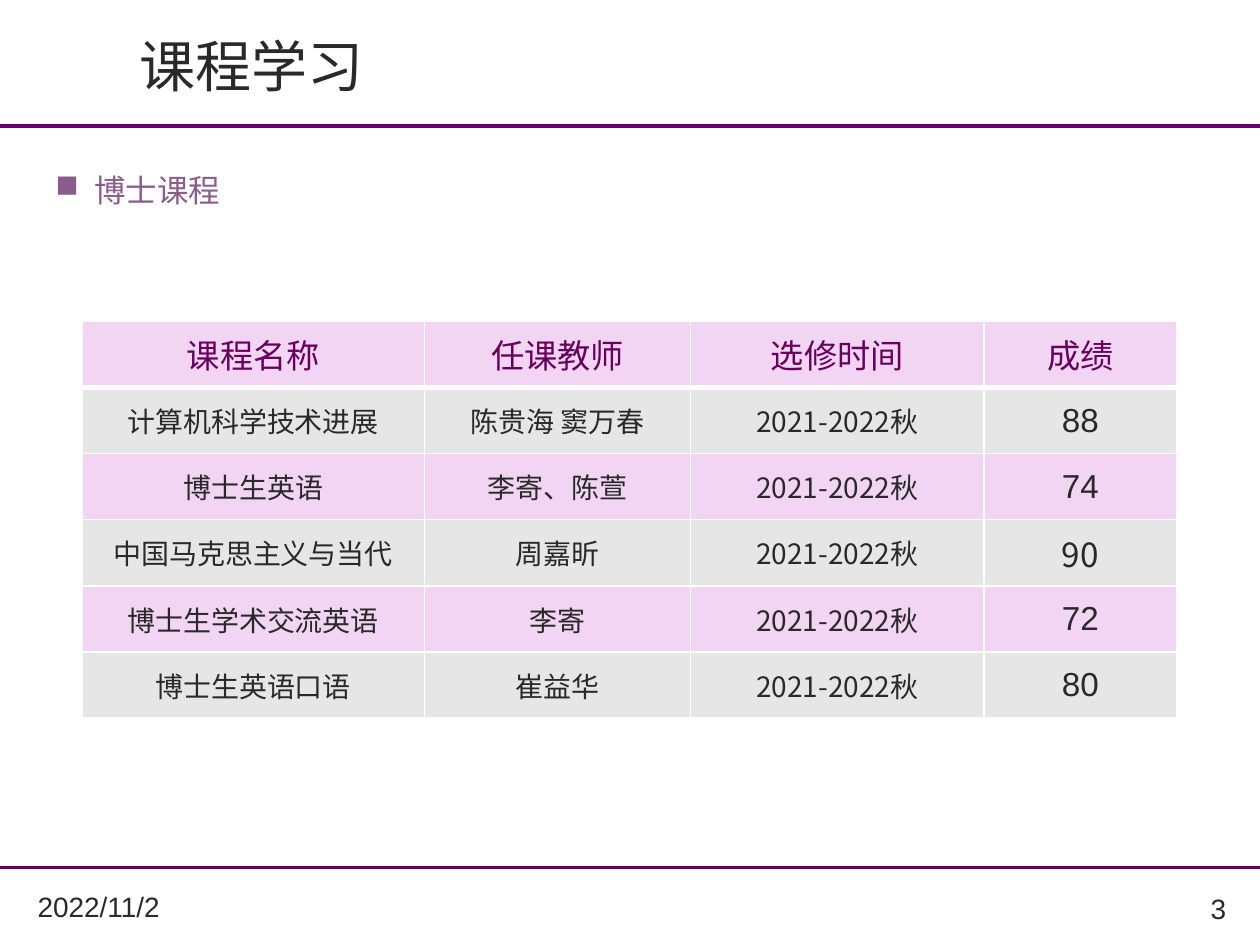
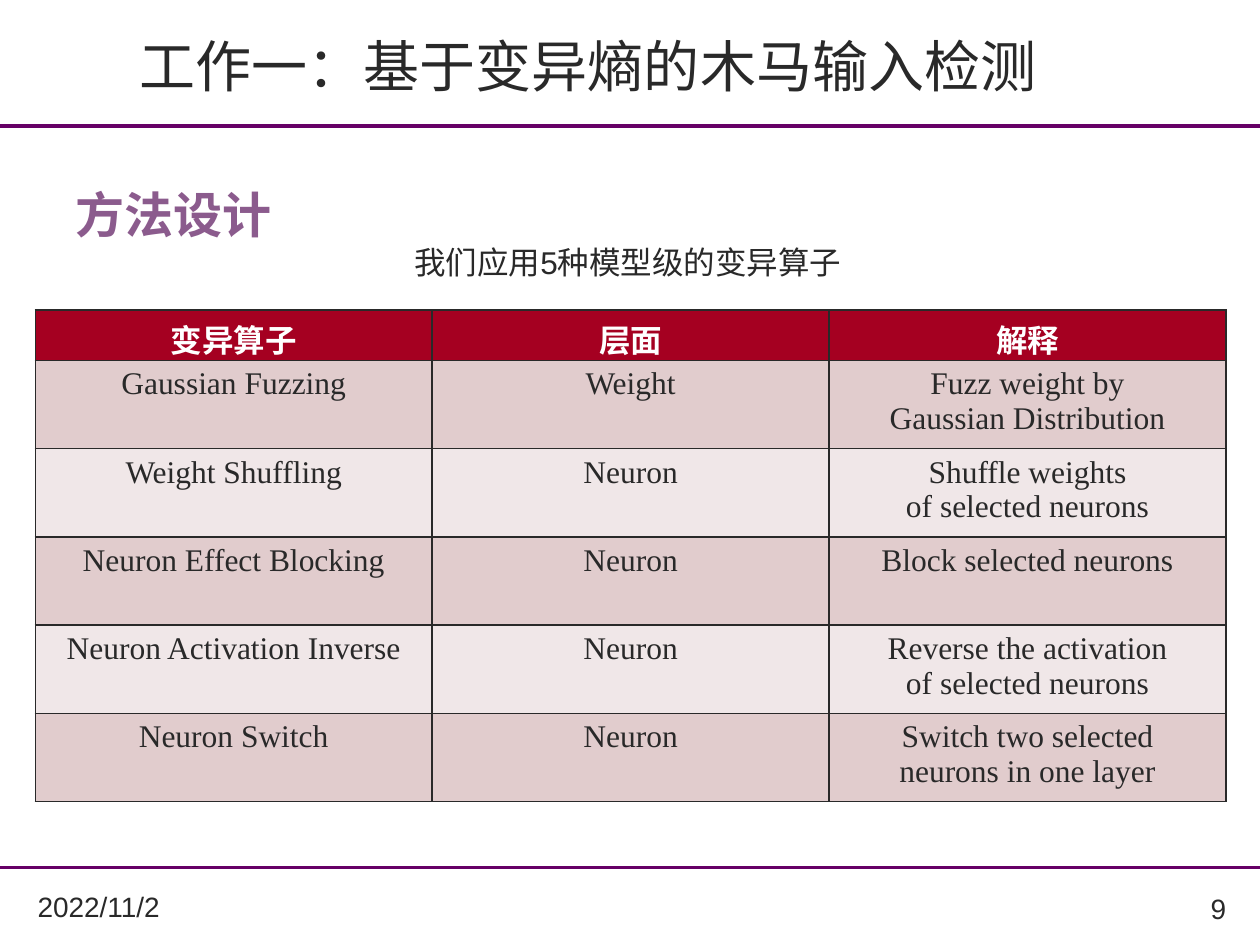
from dataclasses import dataclass

from lxml import etree
from pptx import Presentation
from pptx.dml.color import RGBColor
from pptx.enum.shapes import MSO_SHAPE
from pptx.enum.text import MSO_ANCHOR, PP_ALIGN
from pptx.oxml.ns import qn
from pptx.util import Inches, Pt

LEFT, CENTER, RIGHT = PP_ALIGN.LEFT, PP_ALIGN.CENTER, PP_ALIGN.RIGHT
TOP, MIDDLE = MSO_ANCHOR.TOP, MSO_ANCHOR.MIDDLE
MATH_MINUS = MSO_SHAPE.MATH_MINUS

COLORS = {
    "ink": "292929",
    "rule": "660066",
    "heading": "8B5B8D",
    "course_header": "69005D",
    "pink": "F1D5F3",
    "gray": "E6E6E6",
    "white": "FFFFFF",
    "crimson": "A50021",
    "rose": "E1CCCD",
    "pale_rose": "F0E7E8",
}
ARIAL, CJK, TIMES = "Arial", "Noto Sans CJK SC", "Times New Roman"


@dataclass(frozen=True)
class TextStyle:
    size: float
    font: str = ARIAL
    color: str = "ink"
    bold: bool = False
    align: PP_ALIGN = LEFT


@dataclass(frozen=True)
class Box:
    left: float
    top: float
    width: float
    height: float

    def inches(self) -> tuple:
        return tuple(Inches(v) for v in (self.left, self.top, self.width, self.height))


@dataclass(frozen=True)
class Cell:
    text: str
    style: TextStyle
    fill: str


@dataclass(frozen=True)
class Grid:
    left: float
    top: float
    columns: list
    rows: list
    line: str
    header_line: float = 1
    anchor: MSO_ANCHOR = TOP
    header_margin_bottom: float = 0.05


@dataclass(frozen=True)
class Course:
    name: str
    teacher: str
    score: str
    score_font: str = ARIAL
    term: str = "2021-2022秋"


@dataclass(frozen=True)
class Operator:
    name: str
    level: str
    meaning: str


# Shared styles and places
TITLE = TextStyle(32, CJK)
FOOTER = TextStyle(16)
PAGE_NUMBER = TextStyle(16, align=RIGHT)
RULES = [Box(-1.82, 6.83, 13.64, 0.11), Box(-1.82, 0.94, 13.64, 0.12)]

COURSES = [
    Course("计算机科学技术进展", "陈贵海 窦万春", "88"),
    Course("博士生英语", "李寄、陈萱", "74"),
    Course("中国马克思主义与当代", "周嘉昕", "90", CJK),
    Course("博士生学术交流英语", "李寄", "72"),
    Course("博士生英语口语", "崔益华", "80"),
]
OPERATORS = [
    Operator("Gaussian Fuzzing", "Weight", "Fuzz weight by\nGaussian Distribution"),
    Operator("Weight Shuffling", "Neuron", "Shuffle weights\nof selected neurons"),
    Operator("Neuron Effect Blocking", "Neuron", "Block selected neurons"),
    Operator("Neuron Activation Inverse", "Neuron",
             "Reverse the activation\nof selected neurons"),
    Operator("Neuron Switch", "Neuron", "Switch two selected\nneurons in one layer"),
]


def rgb(name: str) -> RGBColor:
    return RGBColor.from_string(COLORS[name])


def write(frame, text: str, style: TextStyle) -> None:
    """Fill a text frame, one paragraph per line."""
    frame.text = text
    for paragraph in frame.paragraphs:
        paragraph.alignment = style.align
        font = paragraph.font
        font.size, font.bold, font.name = Pt(style.size), style.bold, style.font
        font.color.rgb = rgb(style.color)
        defaults = paragraph._p.pPr.find(qn("a:defRPr"))
        etree.SubElement(defaults, qn("a:ea")).set("typeface", CJK)


def add_text(slide, box: Box, text: str, style: TextStyle, margin_left: float = 0.1):
    frame = slide.shapes.add_textbox(*box.inches()).text_frame
    frame.word_wrap = True
    frame.vertical_anchor = MIDDLE
    frame.margin_left = Inches(margin_left)
    write(frame, text, style)
    return frame.paragraphs[0]


def add_square_bullet(paragraph, indent: float) -> None:
    properties = paragraph._p.get_or_add_pPr()
    properties.set("marL", str(Inches(indent)))
    properties.set("indent", str(-Inches(indent)))
    bullet = etree.Element(qn("a:buChar"))
    bullet.set("char", "■")
    properties.find(qn("a:defRPr")).addprevious(bullet)


def set_borders(cell, color: str, top: float, bottom: float) -> None:
    properties = cell._tc.get_or_add_tcPr()
    sides = [("a:lnL", 1), ("a:lnR", 1), ("a:lnT", top), ("a:lnB", bottom)]
    for position, (side, width) in enumerate(sides):
        line = etree.Element(qn(side))
        line.set("w", str(Pt(width)))
        fill = etree.SubElement(line, qn("a:solidFill"))
        etree.SubElement(fill, qn("a:srgbClr")).set("val", COLORS[color])
        properties.insert(position, line)


def add_grid(slide, grid: Grid, content: list) -> None:
    box = Box(grid.left, grid.top, sum(grid.columns), sum(grid.rows))
    table = slide.shapes.add_table(
        len(grid.rows), len(grid.columns), *box.inches()).table
    table.first_row = table.horz_banding = False
    for column, width in zip(table.columns, grid.columns):
        column.width = Inches(width)
    for r, (row, height) in enumerate(zip(content, grid.rows)):
        table.rows[r].height = Inches(height)
        for c, part in enumerate(row):
            cell = table.cell(r, c)
            cell.vertical_anchor = grid.anchor
            if r == 0:
                cell.margin_bottom = Inches(grid.header_margin_bottom)
            cell.fill.solid()
            cell.fill.fore_color.rgb = rgb(part.fill)
            write(cell.text_frame, part.text, part.style)
            set_borders(cell, grid.line,
                        top=grid.header_line if r == 1 else 1,
                        bottom=grid.header_line if r == 0 else 1)


def start_slide(deck, title: str, page: int):
    """Add a slide with rules, footer and title."""
    slide = deck.slides.add_slide(deck.slide_layouts[6])
    for box in RULES:
        rule = slide.shapes.add_shape(MATH_MINUS, *box.inches())
        rule.shadow.inherit = False
        rule.fill.solid()
        rule.fill.fore_color.rgb = rgb("rule")
        rule.line.fill.background()
    add_text(slide, Box(0.2, 7, 1.56, 0.39), "2022/11/2", FOOTER)
    add_text(slide, Box(8.81, 7.01, 1.02, 0.39), str(page), PAGE_NUMBER)
    add_text(slide, Box(0.91, 0.21, 8.03, 0.61), title, TITLE, margin_left=0.2)
    return slide


def build_courses(deck) -> None:
    slide = start_slide(deck, "课程学习", 3)
    topic = add_text(slide, Box(0.34, 1.31, 5.09, 0.4), "博士课程",
                     TextStyle(18, CJK, "heading"))
    add_square_bullet(topic, 0.31)

    # Course table
    header = TextStyle(19, color="course_header", align=CENTER)
    body = TextStyle(16, CJK, align=CENTER)
    content = [[Cell(text, header, "pink")
                for text in ("课程名称", "任课教师", "选修时间", "成绩")]]
    for i, course in enumerate(COURSES):
        fill = "pink" if i % 2 else "gray"
        score = TextStyle(19, course.score_font, align=CENTER)
        content.append([Cell(text, body, fill)
                        for text in (course.name, course.teacher, course.term)]
                       + [Cell(course.score, score, fill)])
    grid = Grid(0.65, 2.55, [2.72, 2.11, 2.33, 1.53], [0.525] * 6,
                "white", header_line=3, anchor=MIDDLE)
    add_grid(slide, grid, content)


def build_operators(deck) -> None:
    slide = start_slide(deck, "工作一：基于变异熵的木马输入检测", 9)
    heading = add_text(slide, Box(0.5, 1.15, 9.01, 0.77), "方法设计",
                       TextStyle(28, CJK, "heading", bold=True))
    heading.line_spacing = 1.7

    # Mutation operator table
    header = TextStyle(18, color="white", bold=True, align=CENTER)
    body = TextStyle(18, TIMES, align=CENTER)
    content = [[Cell(text, header, "crimson") for text in ("变异算子", "层面", "解释")]]
    for i, operator in enumerate(OPERATORS):
        fill = "pale_rose" if i % 2 else "rose"
        content.append([Cell(text, body, fill)
                        for text in (operator.name, operator.level, operator.meaning)])
    grid = Grid(0.28, 2.46, [3.15] * 3, [0.4] + [0.7] * 5, "ink",
                header_margin_bottom=0)
    add_grid(slide, grid, content)
    add_text(slide, Box(3.19, 1.88, 3.94, 0.4), "我们应用5种模型级的变异算子",
             TextStyle(18))


def main() -> None:
    deck = Presentation()
    deck.slide_width, deck.slide_height = Inches(10), Inches(7.5)
    build_courses(deck)
    build_operators(deck)
    deck.save("out.pptx")


if __name__ == "__main__":
    main()
